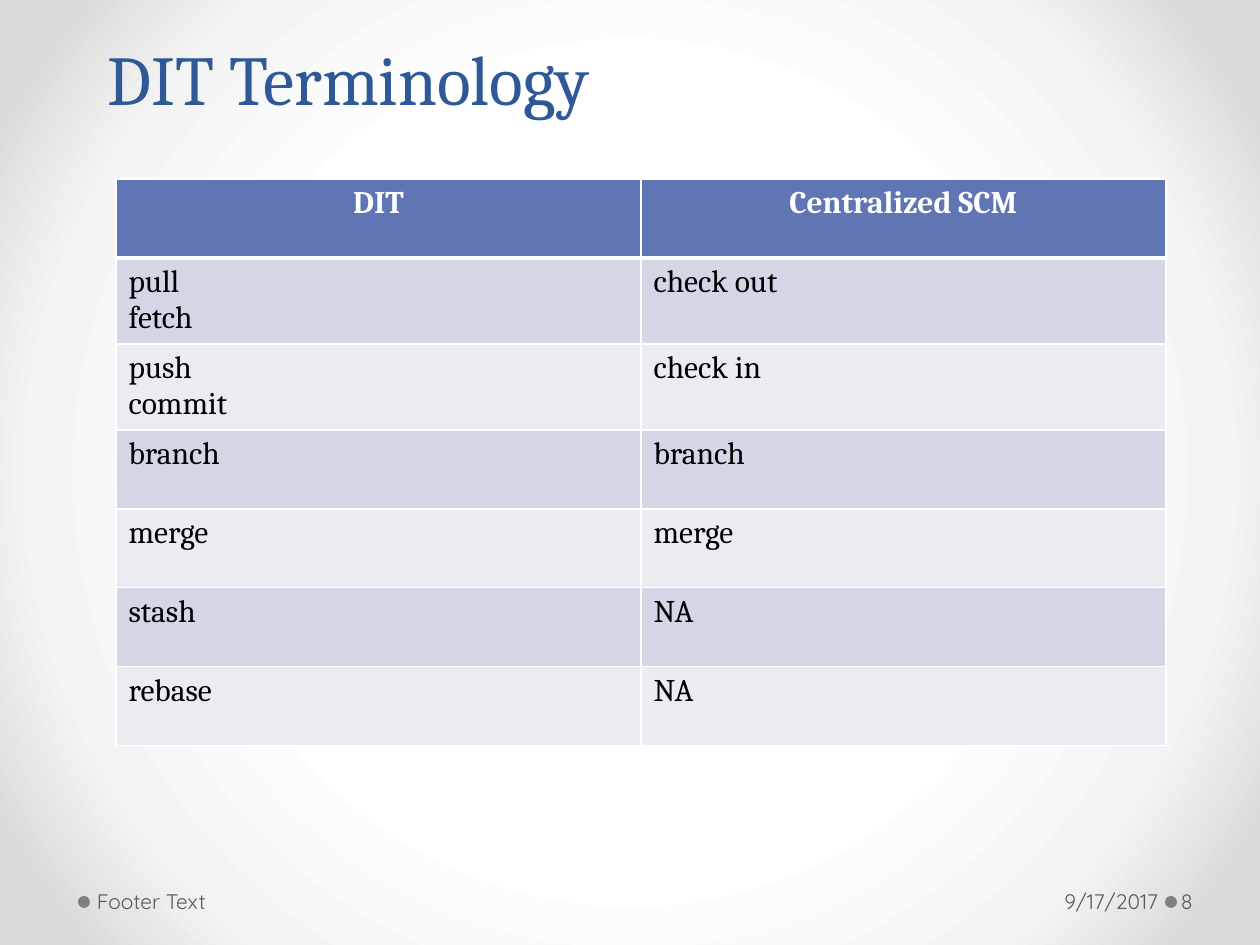
from typing import NamedTuple

from pptx import Presentation
from pptx.dml.color import RGBColor
from pptx.enum.shapes import MSO_SHAPE
from pptx.enum.text import MSO_ANCHOR as ANCHOR, MSO_AUTO_SIZE as AUTO, PP_ALIGN as ALIGN
from pptx.oxml import parse_xml
from pptx.oxml.ns import nsdecls, qn
from pptx.util import Pt

PX = 914400 / 126
WHITE = "FFFFFF"
HEADER_FILL = "6076B4"
BAND_FILLS = ("D2D6E5", "EAECF2")
STOPS = ((50, WHITE), (76, "F4F4F4"), (92, "DADADA"))
ROWS = (
    ("DIT", "Centralized SCM"),
    ("pull\nfetch", "check out"),
    ("push\ncommit", "check in"),
    ("branch", "branch"),
    ("merge", "merge"),
    ("stash", "NA"),
    ("rebase", "NA"),
)


class Footer(NamedTuple):
    text: str
    left: int
    width: int
    pad_left: int
    pad_right: int
    align: ALIGN


FOOTERS = (
    Footer("9/17/2017", 877, 287, 13, 6, ALIGN.RIGHT),
    Footer("8", 1177, 77, 4, 6, ALIGN.LEFT),
    Footer("Footer Text", 91, 392, 6, 13, ALIGN.LEFT),
)
DOT_LEFTS = (1165, 78)


def px(n: int) -> int:
    return round(n * PX)


def rgb(color: str) -> RGBColor:
    return RGBColor.from_string(color)


def style(tf, size: int, font: str, color: str, align: ALIGN, bold: bool = False) -> None:
    for p in tf.paragraphs:
        p.alignment = align
        for r in p.runs:
            r.font.size = Pt(size)
            r.font.name = font
            r.font.bold = bold
            r.font.color.rgb = rgb(color)


def set_background(s) -> None:
    s.background.fill.gradient()
    old = s._element.find(f".//{qn('a:gradFill')}")
    stops = "".join(
        f'<a:gs pos="{pos * 1000}"><a:srgbClr val="{color}"/></a:gs>' for pos, color in STOPS
    )
    new = parse_xml(
        f'<a:gradFill {nsdecls("a")} rotWithShape="1"><a:gsLst>{stops}</a:gsLst>'
        '<a:path path="circle"><a:fillToRect l="50000" t="50000" r="50000" b="50000"/>'
        "</a:path></a:gradFill>"
    )
    old.getparent().replace(old, new)


def add_dot(s, left: int) -> None:
    sp = s.shapes.add_shape(MSO_SHAPE.OVAL, px(left), px(896), px(12), px(12))
    sp.shadow.inherit = False
    sp.fill.solid()
    sp.fill.fore_color.rgb = rgb("808080")
    sp.line.fill.background()


def add_title(s, text: str) -> None:
    sp = s.shapes.title
    sp.left, sp.top, sp.width, sp.height = px(95), px(32), px(1071), px(94)
    tf = sp.text_frame
    tf.text = text
    tf.auto_size = AUTO.NONE
    tf.vertical_anchor = ANCHOR.BOTTOM
    style(tf, 40, "Cambria", "2F5897", ALIGN.LEFT)


def add_footer(s, footer: Footer) -> None:
    sp = s.shapes.add_textbox(px(footer.left), px(876), px(footer.width), px(50))
    tf = sp.text_frame
    tf.text = footer.text
    tf.word_wrap = True
    tf.vertical_anchor = ANCHOR.MIDDLE
    tf.margin_left, tf.margin_right = px(footer.pad_left), px(footer.pad_right)
    style(tf, 12, "Quicksand", "595959", footer.align)


def set_borders(cell, top: int, bottom: int) -> None:
    widths = {"lnL": 1, "lnR": 1, "lnT": top, "lnB": bottom}
    for i, (tag, width) in enumerate(widths.items()):
        line = parse_xml(
            f'<a:{tag} {nsdecls("a")} w="{Pt(width)}"><a:solidFill>'
            f'<a:srgbClr val="{WHITE}"/></a:solidFill></a:{tag}>'
        )
        cell._tc.get_or_add_tcPr().insert(i, line)


def add_terms_table(s) -> None:
    frame = s.shapes.add_table(len(ROWS), 2, px(116), px(179), px(1050), px(79 * len(ROWS)))
    table = frame.table
    for i, texts in enumerate(ROWS):
        header = i == 0
        table.rows[i].height = px(79)
        fill = HEADER_FILL if header else BAND_FILLS[(i - 1) % 2]
        for cell, text in zip(table.rows[i].cells, texts):
            tf = cell.text_frame
            tf.text = text
            style(tf, 18, "Cambria", WHITE if header else "000000",
                  ALIGN.CENTER if header else ALIGN.LEFT, header)
            cell.margin_bottom = px(4)
            cell.fill.solid()
            cell.fill.fore_color.rgb = rgb(fill)
            set_borders(cell, 3 if i == 1 else 1, 3 if header else 1)


def main() -> None:
    """Build the version-control terminology slide."""
    prs = Presentation()
    prs.slide_width, prs.slide_height = px(1260), px(945)
    s = prs.slides.add_slide(prs.slide_layouts[5])
    set_background(s)
    for left in DOT_LEFTS:
        add_dot(s, left)
    add_title(s, "DIT Terminology")
    for footer in FOOTERS:
        add_footer(s, footer)
    add_terms_table(s)
    prs.save("out.pptx")


if __name__ == "__main__":
    main()
